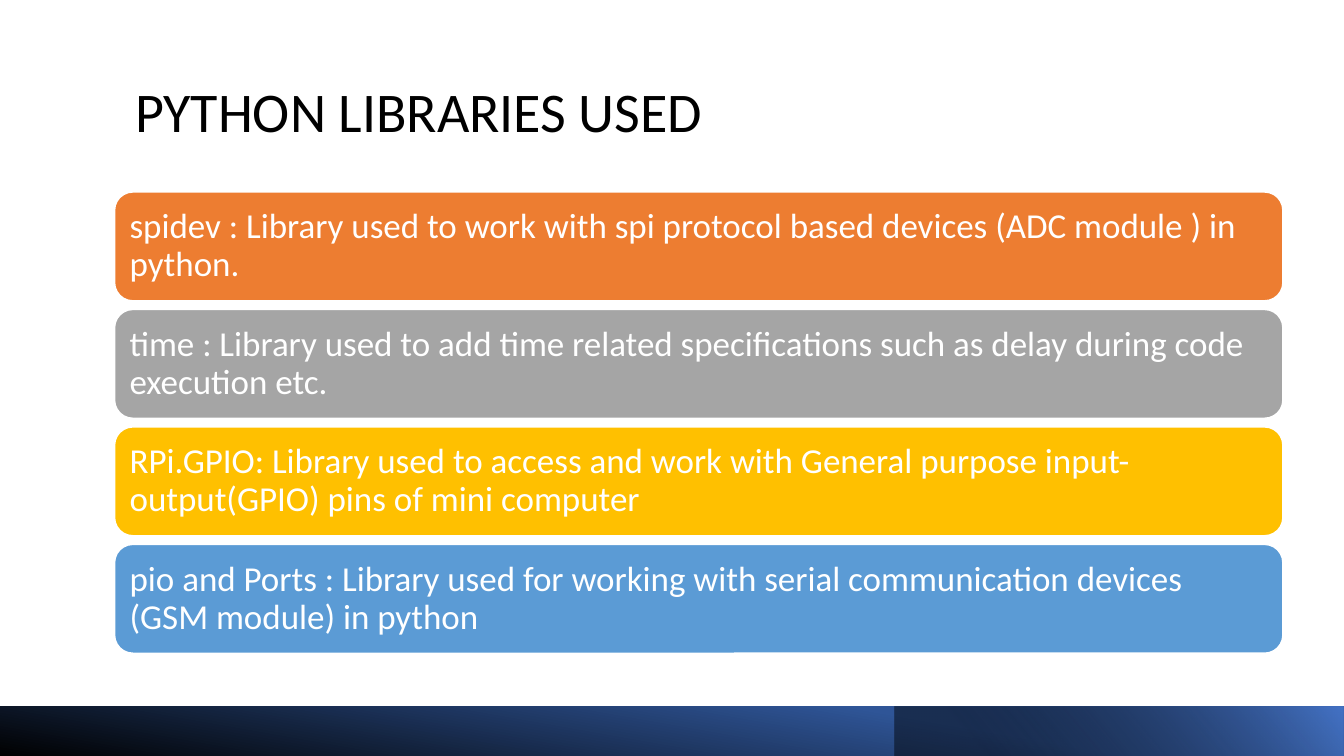
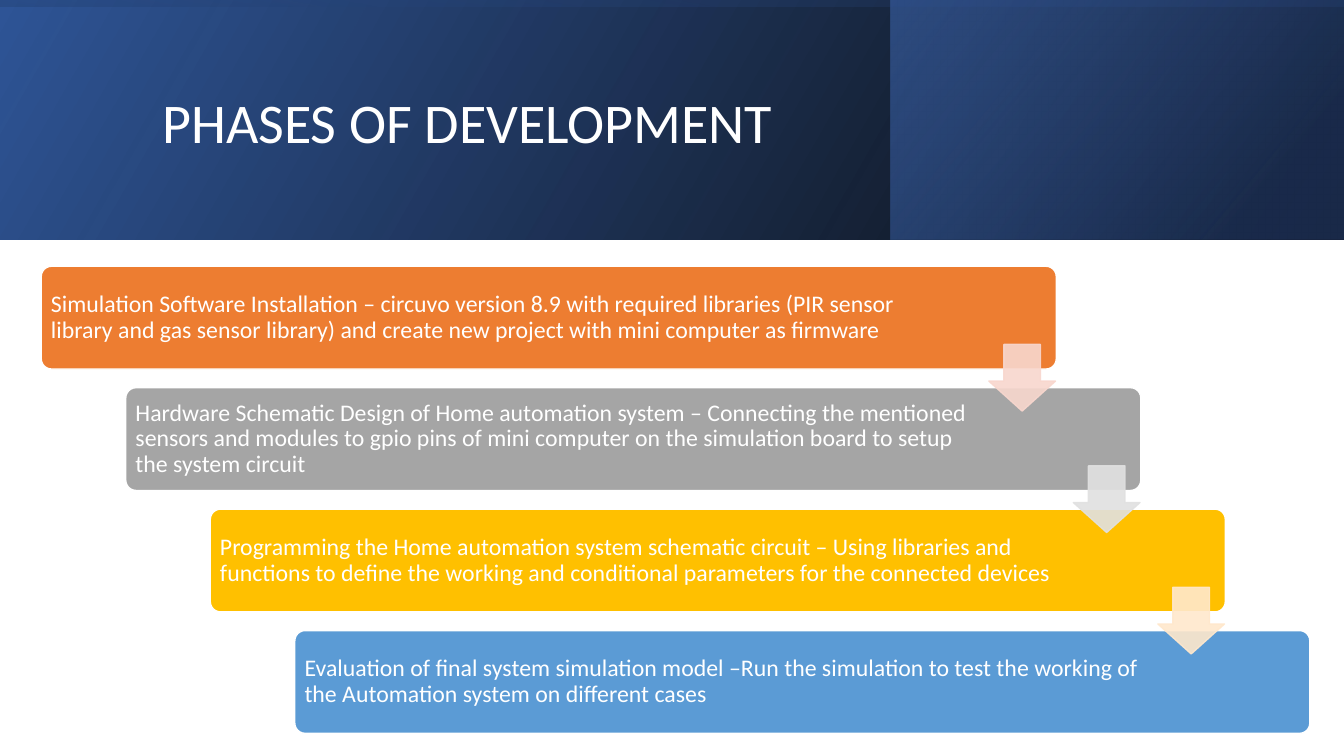
from lxml import etree
from pptx import Presentation
from pptx.dml.color import RGBColor
from pptx.enum.shapes import MSO_SHAPE
from pptx.enum.text import MSO_ANCHOR, MSO_AUTO_SIZE, PP_ALIGN
from pptx.oxml.ns import qn
from pptx.util import Cm, Pt

RECTANGLE = MSO_SHAPE.RECTANGLE
ROUNDED = MSO_SHAPE.ROUNDED_RECTANGLE
DOWN_ARROW = MSO_SHAPE.DOWN_ARROW
MIDDLE = MSO_ANCHOR.MIDDLE
BOTTOM = MSO_ANCHOR.BOTTOM
LEFT = PP_ALIGN.LEFT
NO_AUTOFIT = MSO_AUTO_SIZE.NONE

BLACK = RGBColor(0x00, 0x00, 0x00)
WHITE = RGBColor(0xFF, 0xFF, 0xFF)
NAVY = RGBColor(0x20, 0x38, 0x64)
DEEP_BLUE = RGBColor(0x2F, 0x55, 0x97)
BLUE = RGBColor(0x44, 0x72, 0xC4)
ORANGE = RGBColor(0xED, 0x7D, 0x31)
GRAY = RGBColor(0xA5, 0xA5, 0xA5)
GOLD = RGBColor(0xFF, 0xC0, 0x00)
SKY = RGBColor(0x5B, 0x9B, 0xD5)
PALE_ORANGE = RGBColor(0xF8, 0xD7, 0xCE)
PALE_GRAY = RGBColor(0xE1, 0xE1, 0xE1)
PALE_GOLD = RGBColor(0xFF, 0xE8, 0xCC)

BOX_COLORS = (ORANGE, GRAY, GOLD, SKY)
ARROW_COLORS = (PALE_ORANGE, PALE_GRAY, PALE_GOLD)
FONT = "Calibri"
SLIDE_WIDTH = 33.87
SLIDE_HEIGHT = 19.05
TITLE_ONLY = 5

LIBRARIES = (
    "spidev : Library used to work with spi protocol based devices (ADC module ) in python.",
    "time : Library used to add time related specifications such as delay during code execution etc.",
    "RPi.GPIO: Library used to access and work with General purpose input-output(GPIO) pins of mini computer",
    "pio and Ports : Library used for working with serial communication devices (GSM module) in python",
)
PHASES = (
    "Simulation Software Installation – circuvo version 8.9 with required libraries (PIR sensor "
    "library and gas sensor library) and create new project with mini computer as firmware",
    "Hardware Schematic Design of Home automation system – Connecting the mentioned sensors and "
    "modules to gpio pins of mini computer on the simulation board to setup the system circuit",
    "Programming the Home automation system schematic circuit – Using libraries and functions to "
    "define the working and conditional parameters for the connected devices",
    "Evaluation of final system simulation model –Run the simulation to test the working of the "
    "Automation system on different cases",
)


def write_text(text_frame, text, size, color, anchor):
    text_frame.word_wrap = True
    text_frame.auto_size = NO_AUTOFIT
    text_frame.vertical_anchor = anchor
    paragraph = text_frame.paragraphs[0]
    paragraph.alignment = LEFT
    paragraph.line_spacing = 0.9
    run = paragraph.add_run()
    run.text = text
    run.font.size = Pt(size)
    run.font.name = FONT
    run.font.color.rgb = color


def set_opacity(color_element, percent):
    alpha = etree.SubElement(color_element, qn("a:alpha"))
    alpha.set("val", str(percent * 1000))


def add_plain_shape(slide, kind, left, top, width, height):
    shape = slide.shapes.add_shape(kind, Cm(left), Cm(top), Cm(width), Cm(height))
    shape.shadow.inherit = False
    return shape


def add_band(slide, left, top, width, height, stops, angle, rotation=0):
    band = add_plain_shape(slide, RECTANGLE, left, top, width, height)
    band.rotation = rotation
    band.line.fill.background()
    band.fill.gradient()
    band.fill.gradient_angle = 360 - angle
    properties = band._element.spPr
    properties.find(qn("a:xfrm")).set("flipH", "1")
    for stop, (position, color, _) in zip(band.fill.gradient_stops, stops):
        stop.position = position
        stop.color.rgb = color
    gradient = properties.find(qn("a:gradFill"))
    for color_element, (_, _, opacity) in zip(gradient.iter(qn("a:srgbClr")), stops):
        if opacity < 100:
            set_opacity(color_element, opacity)


def add_title(slide, text, color, anchor, left, top, width, height):
    title = slide.shapes.title
    title.left, title.top = Cm(left), Cm(top)
    title.width, title.height = Cm(width), Cm(height)
    write_text(title.text_frame, text, 40, color, anchor)
    slide.shapes._spTree.append(title._element)


def add_box(slide, left, top, width, height, color, text, size, border, inset, right_inset, corner):
    box = add_plain_shape(slide, ROUNDED, left, top, width, height)
    box.adjustments[0] = corner
    box.fill.solid()
    box.fill.fore_color.rgb = color
    box.line.color.rgb = WHITE
    box.line.width = Pt(border)
    frame = box.text_frame
    frame.margin_left = frame.margin_top = frame.margin_bottom = Cm(inset)
    frame.margin_right = Cm(right_inset)
    write_text(frame, text, size, WHITE, MIDDLE)


def add_arrow(slide, left, top, size, color):
    arrow = add_plain_shape(slide, DOWN_ARROW, left, top, size, size)
    arrow.adjustments[0] = 0.55
    arrow.adjustments[1] = 0.45
    arrow.fill.solid()
    arrow.fill.fore_color.rgb = color
    arrow.line.color.rgb = color
    arrow.line.width = Pt(1)
    for color_element in arrow._element.spPr.iter(qn("a:srgbClr")):
        set_opacity(color_element, 90)


def add_title_slide(presentation):
    return presentation.slides.add_slide(presentation.slide_layouts[TITLE_ONLY])


def build_libraries(presentation):
    slide = add_title_slide(presentation)
    strip_top, strip_height, split = 17.8, 1.3, 22.55
    add_band(slide, 0, strip_top, SLIDE_WIDTH, strip_height,
             ((0, BLACK, 100), (0.7, DEEP_BLUE, 100)), 260)
    add_band(slide, split, strip_top, SLIDE_WIDTH - split, strip_height,
             ((0.19, BLACK, 46), (0.99, BLUE, 100)), 220)
    add_title(slide, "PYTHON LIBRARIES USED", BLACK, BOTTOM, 3.15, 1, 17.15, 2.77)
    for index, (text, color) in enumerate(zip(LIBRARIES, BOX_COLORS)):
        add_box(slide, 2.88, 4.83 + index * 2.96, 29.46, 2.76, color, text,
                size=25, border=1.5, inset=0.25, right_inset=0.25, corner=0.17)


def build_phases(presentation):
    slide = add_title_slide(presentation)
    header_height, split = 6.03, 22.45
    offset = (SLIDE_WIDTH - header_height) / 2
    add_band(slide, 0, 0, SLIDE_WIDTH, header_height,
             ((0, BLACK, 96), (1, DEEP_BLUE, 100)), 330)
    add_band(slide, split, 0, SLIDE_WIDTH - split, header_height,
             ((0.19, NAVY, 68), (1, BLUE, 48)), 320)
    add_band(slide, offset, -offset, header_height, SLIDE_WIDTH,
             ((0.23, DEEP_BLUE, 16), (0.99, BLACK, 45)), 350, rotation=270)
    add_title(slide, "PHASES OF DEVELOPMENT", WHITE, MIDDLE, 3.84, 0.97, 27, 4.37)
    step_x, step_y = 2.13, 3.06
    for index, (text, color) in enumerate(zip(PHASES, BOX_COLORS)):
        add_box(slide, 1.04 + index * step_x, 6.71 + index * step_y, 25.58, 2.59, color, text,
                size=17, border=1, inset=0.17, right_inset=3.76, corner=0.1)
    for index, color in enumerate(ARROW_COLORS):
        add_arrow(slide, 24.92 + index * step_x, 8.68 + index * step_y, 1.68, color)


def main():
    presentation = Presentation()
    presentation.slide_width = Cm(SLIDE_WIDTH)
    presentation.slide_height = Cm(SLIDE_HEIGHT)
    build_libraries(presentation)
    build_phases(presentation)
    presentation.save("out.pptx")


if __name__ == "__main__":
    main()
